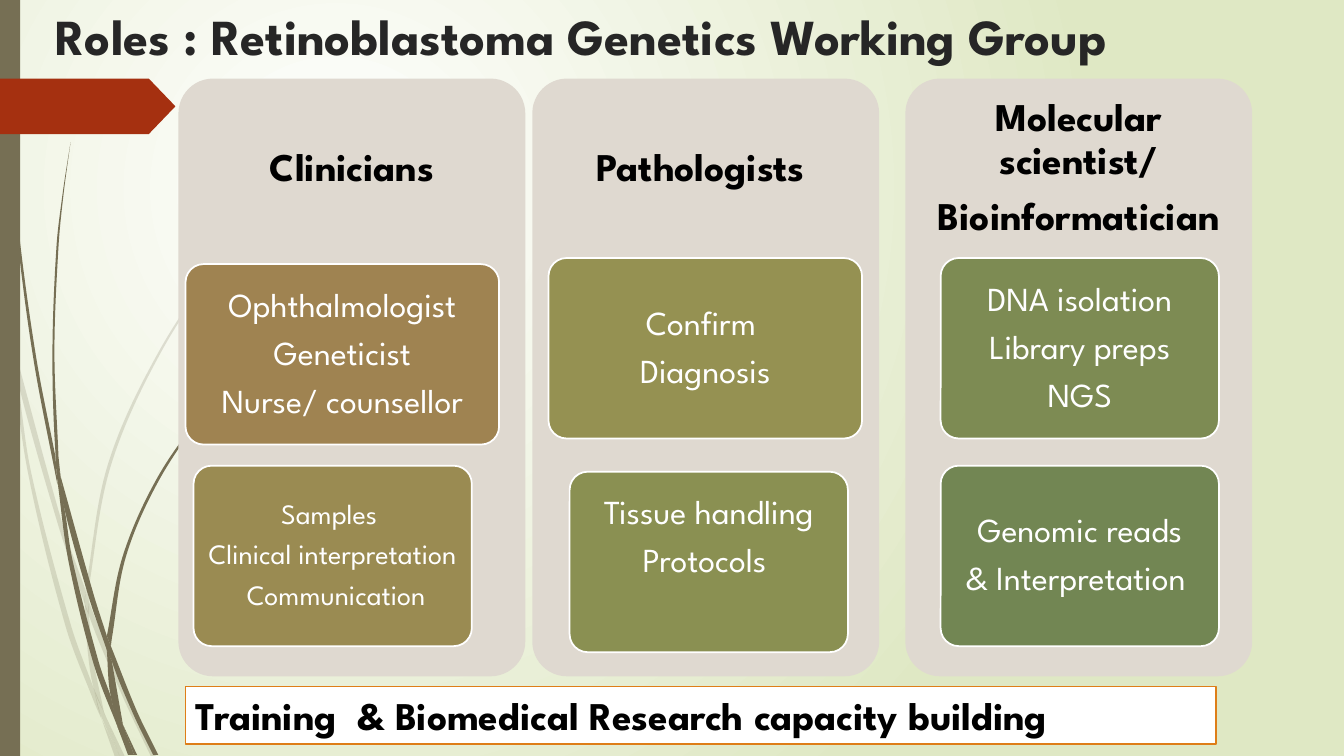
import math

import pptx
import pptx.util
import pptx.dml.color
import pptx.enum.shapes
import pptx.enum.text
import pptx.oxml
import pptx.oxml.ns
from pptx.util import Inches

THEME = {
    "font": "League Spartan",
    "ink": "000000", "title": "262626", "white": "FFFFFF", "meadow": "DFE8C4",
    "stem": "766F54", "arrow": "A53010", "panel": "DFD9D0", "border": "DE7E18",
    "title_size": 36, "heading_size": 28, "card_size": 24, "small_size": 20,
    "line_width": 1.25, "pale_alpha": 20,
}

TITLE = "Roles : Retinoblastoma Genetics Working Group"
FOOTER = "Training  & Biomedical Research capacity building"
PANEL_TOP, PANEL_WIDTH, PANEL_HEIGHT, HEADING_HEIGHT = 0.78, 3.44, 5.93, 1.78
CARD_HEIGHT = 1.79
WIDE, NARROW = 3.11, 2.76

COLUMNS = [
    {"left": 1.77, "heading": ["Clinicians"], "cards": [
        (1.84, 2.62, WIDE, "9F8351", "card_size", 0.05,
         ["Ophthalmologist", "Geneticist", "Nurse/ counsellor"]),
        (1.92, 4.62, NARROW, "9A8B52", "small_size", 0.05,
         ["Samples ", "Clinical interpretation", " Communication"])]},
    {"left": 5.28, "heading": ["Pathologists "], "cards": [
        (5.44, 2.56, WIDE, "959152", "card_size", 0.05, ["Confirm ", "Diagnosis"]),
        (5.65, 4.68, NARROW, "8A9052", "card_size", 0.53, ["Tissue handling", "Protocols "])]},
    {"left": 8.98, "heading": ["Molecular scientist/", "Bioinformatician"], "cards": [
        (9.33, 2.56, NARROW, "7D8B53", "card_size", 0.05,
         ["DNA isolation", "Library preps", "NGS"]),
        (9.33, 4.62, NARROW, "728653", "card_size", 0.05,
         ["Genomic reads", "& Interpretation "])]},
]

PALE_BLADES = [
    ([(0.11, 3.5), (0.09, 3.22), (0, 2.82)], [(0, 2.99), (0.1, 3.44), (0.11, 3.5)]),
    ([(0.14, 3.45), (0.17, 3.76), (0.58, 5.22), (0.84, 5.99)],
     [(0.85, 5.86), (0.62, 5.2), (0.14, 3.45)]),
    ([(0.88, 5.96), (0.88, 6.1), (1.23, 6.94), (1.5, 7.51)],
     [(1.55, 7.51), (1.27, 6.92), (0.92, 6.07), (0.88, 5.96)]),
    ([(1.05, 7.11), (1.19, 7.51)], [(1.24, 7.51), (1.05, 7.11)]),
    ([(0.11, 3.5), (0.28, 4.7), (0.65, 6.21), (0.92, 6.93), (1.01, 7.14)],
     [(0.93, 6.83), (0.7, 6.19), (0.31, 4.69), (0.17, 3.76), (0.11, 3.5)]),
    ([(0.84, 5.99), (0.87, 6.46), (0.93, 6.83), (1.05, 7.11)],
     [(1.03, 7.06), (0.91, 6.46), (0.88, 6.1), (0.84, 5.99)]),
    ([(3.12, 1.53), (2.68, 1.97), (2.28, 2.44), (1.58, 3.48), (1.07, 4.61), (0.85, 5.84)],
     [(0.88, 5.96), (0.88, 5.84), (1.1, 4.62), (1.6, 3.49), (2.29, 2.45), (2.68, 1.98),
      (3.12, 1.54)]),
    ([(1.01, 7.14), (1.14, 7.51)], [(1.19, 7.51), (1.01, 7.14)]),
    ([(0.85, 5.86), (0.84, 5.99), (0.88, 6.1)], [(0.88, 5.96), (0.85, 5.86)]),
    ([(0.93, 6.83), (0.99, 7.07), (1.19, 7.51)], [(1.05, 7.11), (0.93, 6.83)]),
]
DARK_BLADES = [
    ([(0.03, 0), (0.07, 1.1), (0.17, 2.33), (0.33, 3.55), (0.57, 4.81)],
     [(0.55, 4.53), (0.36, 3.55), (0.19, 2.32), (0.08, 1.09), (0.04, 0)]),
    ([(0.6, 4.72), (0.64, 5.05), (0.88, 5.92), (1.06, 6.45)],
     [(1.06, 6.31), (0.93, 5.9), (0.6, 4.72)]),
    ([(1.1, 6.41), (1.11, 6.56), (1.32, 7.08), (1.52, 7.49)],
     [(1.57, 7.49), (1.36, 7.06), (1.1, 6.41)]),
    ([(0.57, 4.77), (0.68, 5.57), (0.93, 6.59), (1.17, 7.22)],
     [(1.1, 6.91), (0.98, 6.57), (0.72, 5.56), (0.64, 5.05), (0.57, 4.77)]),
    ([(0.7, 1.41), (0.62, 1.93), (0.56, 2.45), (0.52, 3.49), (0.55, 4.49), (0.6, 4.72)],
     [(0.58, 4.53), (0.54, 3.49), (0.58, 2.45), (0.63, 1.93), (0.7, 1.41)]),
    ([(1.22, 7.19), (1.33, 7.49)], [(1.36, 7.49), (1.22, 7.19)]),
    ([(0.55, 4.49), (0.57, 4.77), (0.64, 5.05)], [(0.6, 4.72), (0.55, 4.49)]),
    ([(2.6, 3.44), (2.31, 3.73), (2.04, 4.05), (1.56, 4.74), (1.22, 5.51), (1.06, 6.31)],
     [(1.1, 6.41), (1.11, 6.33), (1.25, 5.52), (1.58, 4.76), (2.05, 4.06), (2.31, 3.74),
      (2.61, 3.44)]),
    ([(1.17, 7.22), (1.27, 7.49)], [(1.31, 7.49), (1.17, 7.22)]),
    ([(1.06, 6.45), (1.1, 6.91), (1.22, 7.19)], [(1.11, 6.56), (1.06, 6.45)]),
    ([(1.06, 6.31), (1.06, 6.45), (1.11, 6.56)], [(1.1, 6.41), (1.06, 6.31)]),
    ([(1.1, 6.91), (1.17, 7.22), (1.3, 7.49)], [(1.33, 7.49), (1.22, 7.19), (1.1, 6.91)]),
]

SHAPES = pptx.enum.shapes.MSO_SHAPE
ALIGN = pptx.enum.text.PP_ALIGN
ANCHOR = pptx.enum.text.MSO_ANCHOR
UNITS = 1000
name_of = pptx.oxml.ns.qn
NAMESPACE = pptx.oxml.ns.nsdecls("a")


def rgb(code):
    return pptx.dml.color.RGBColor.from_string(code)


def paint(shape, fill, line=None):
    shape.shadow.inherit = False
    shape.fill.solid()
    shape.fill.fore_color.rgb = rgb(fill)
    if line:
        shape.line.color.rgb = rgb(line)
        shape.line.width = pptx.util.Pt(THEME["line_width"])
    else:
        shape.line.fill.background()
    return shape


def add_box(page, preset, place, fill, line=None, corner=None):
    box = page.shapes.add_shape(preset, *map(Inches, place))
    if corner is not None:
        box.adjustments[0] = corner
    return paint(box, fill, line)


def write(box, lines, size, color, bold=False, centred=True,
          margins=(0.1, 0.05, 0.1, 0.05), anchor=ANCHOR.MIDDLE):
    frame = box.text_frame
    frame.word_wrap = True
    frame.vertical_anchor = anchor
    (frame.margin_left, frame.margin_top,
     frame.margin_right, frame.margin_bottom) = map(Inches, margins)
    frame.text = "\n".join(lines)
    for para in frame.paragraphs:
        para.alignment = ALIGN.CENTER if centred else ALIGN.LEFT
        if centred:
            para.line_spacing = 0.9
            para.space_after = pptx.util.Pt(size * 0.35)
        for span in para.runs:
            span.font.name = THEME["font"]
            span.font.size = pptx.util.Pt(size)
            span.font.bold = bold
            span.font.color.rgb = rgb(color)


def handle(point, before, after, reach):
    span = math.dist(before, after) or 1
    return tuple(round(p + (b - a) * reach / span) for p, a, b in zip(point, before, after))


def bend(edge, segments):
    padded = [edge[0], *edge, edge[-1]]
    for a, b, c, d, segment in zip(padded, padded[1:], padded[2:], padded[3:], segments):
        reach = math.dist(b, c) / 3
        knots = (handle(b, a, c, reach), handle(c, b, d, -reach), c)
        marks = "".join(f'<a:pt x="{x}" y="{y}"/>' for x, y in knots)
        segment.getparent().replace(segment, pptx.oxml.parse_xml(
            f"<a:cubicBezTo {NAMESPACE}>{marks}</a:cubicBezTo>"))


def add_blade(page, edges, alpha=None):
    outline = [(x * UNITS, y * UNITS) for edge in edges for x, y in edge]
    builder = page.shapes.build_freeform(*outline[0], scale=Inches(1) / UNITS)
    builder.add_line_segments(outline[1:], close=True)
    blade = paint(builder.convert_to_shape(), THEME["stem"])
    segments = list(blade._element.iter(name_of("a:lnTo")))
    knots = [(int(mark.get("x")), int(mark.get("y")))
             for mark in blade._element.iter(name_of("a:pt"))]
    first = len(edges[0])
    bend(knots[:first], segments[:first - 1])
    bend(knots[first:first + len(edges[1])], segments[first:])
    if alpha:
        blade._element.find(".//" + name_of("a:srgbClr")).append(
            pptx.oxml.parse_xml(f'<a:alpha {NAMESPACE} val="{alpha * 1000}"/>'))


def set_background(page):
    fill = page.background.fill
    fill.gradient()
    for stop, color in zip(fill.gradient_stops, (THEME["white"], THEME["meadow"])):
        stop.color.rgb = rgb(color)
    gradient = page._element.find(".//" + name_of("a:gradFill"))
    gradient.replace(gradient.find(name_of("a:lin")), pptx.oxml.parse_xml(
        f'<a:path {NAMESPACE} path="circle">'
        '<a:fillToRect l="50000" t="50000" r="100000" b="100000"/></a:path>'))


def add_column(page, column):
    place = (column["left"], PANEL_TOP, PANEL_WIDTH)
    add_box(page, SHAPES.ROUNDED_RECTANGLE, (*place, PANEL_HEIGHT), THEME["panel"], corner=0.1)
    heading = page.shapes.add_textbox(*map(Inches, (*place, HEADING_HEIGHT)))
    write(heading, column["heading"], THEME["heading_size"], THEME["ink"], True,
          margins=(0.12,) * 4)
    for left, top, width, fill, size, bottom, lines in column["cards"]:
        card = add_box(page, SHAPES.ROUNDED_RECTANGLE, (left, top, width, CARD_HEIGHT),
                       fill, THEME["white"], 0.1)
        write(card, lines, THEME[size], THEME["white"], margins=(0.07, 0.05, 0.07, bottom))


deck = pptx.Presentation()
deck.slide_width, deck.slide_height = Inches(13.33), Inches(7.5)
page = deck.slides.add_slide(deck.slide_layouts[6])
set_background(page)
for edges in PALE_BLADES:
    add_blade(page, edges, THEME["pale_alpha"])
for edges in DARK_BLADES:
    add_blade(page, edges)
add_box(page, SHAPES.RECTANGLE, (0, 0, 0.2, 7.5), THEME["stem"])
add_box(page, SHAPES.PENTAGON, (0, 0.78, 1.74, 0.55), THEME["arrow"], corner=0.48)
title = page.shapes.add_textbox(*map(Inches, (0.45, 0, 11.86, 0.78)))
write(title, [TITLE], THEME["title_size"], THEME["title"], True, False, anchor=ANCHOR.TOP)
for column in COLUMNS:
    add_column(page, column)
footer = add_box(page, SHAPES.RECTANGLE, (1.84, 6.81, 10.22, 0.57),
                 THEME["white"], THEME["border"])
write(footer, [FOOTER], THEME["heading_size"], THEME["ink"], True, False)
deck.save("out.pptx")
